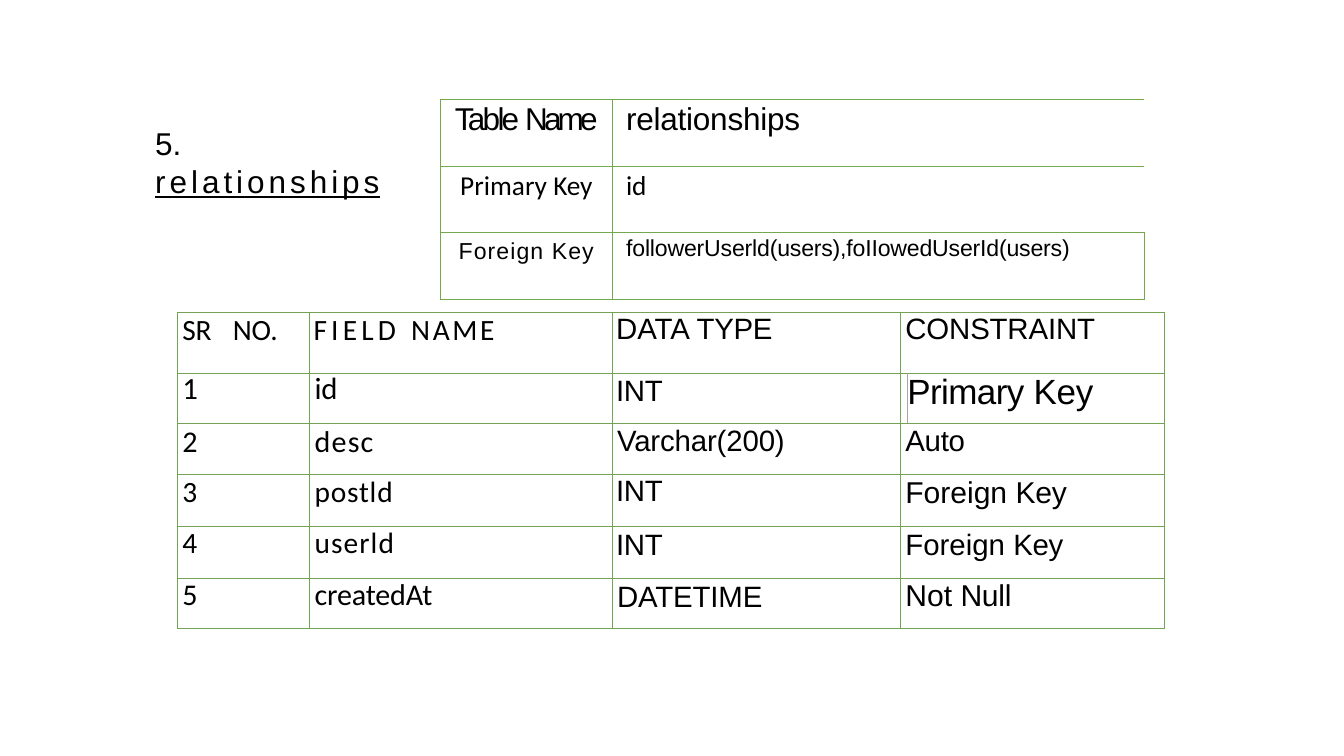
from lxml import etree
from pptx import Presentation
from pptx.dml.color import RGBColor
from pptx.enum.text import PP_ALIGN
from pptx.oxml.ns import qn
from pptx.util import Inches, Pt

COLORS = {"text": "000000", "fields": "74A354", "keys": "74A84F", "divider": "A6A6A6"}
SANS, HUMANIST = "Arial", "Calibri"
NO_MARGINS = {"margin_left": 0, "margin_top": 0, "margin_right": 0, "margin_bottom": 0}


def write(box, frame, runs, size, font, spacing, indent=0, top=0, tab=None, align=None):
    """Fill the frame of a box; runs are (text, letter spacing in points, underline)."""
    for name, value in {**NO_MARGINS, "margin_top": Inches(top)}.items():
        setattr(box, name, value)
    paragraph = frame.paragraphs[0]
    for name, value in {"alignment": align, **spacing}.items():
        setattr(paragraph, name, value)
    properties = paragraph._p.get_or_add_pPr()
    properties.set("marL", str(Inches(indent)))
    properties.set("indent", "0")
    if tab:
        stops = etree.SubElement(properties, qn("a:tabLst"))
        etree.SubElement(stops, qn("a:tab"), pos=str(Inches(tab)), algn="l")
    for text, tracking, *underline in runs:
        run = paragraph.add_run()
        run.text = text
        look = {"size": Pt(size), "name": font, "underline": bool(underline)}
        for name, value in look.items():
            setattr(run.font, name, value)
        run.font.color.rgb = RGBColor.from_string(COLORS["text"])
        run._r.get_or_add_rPr().set("spc", str(round(tracking * 100)))


def outline(cell, borders):
    """Draw borders given as {side: (colour name, width)}; other sides stay empty."""
    properties = cell._tc.get_or_add_tcPr()
    for side in "LRTB":
        color, width = borders.get(side, (None, 0))
        line = etree.SubElement(properties, qn(f"a:ln{side}"), w=str(Pt(width)))
        if color:
            fill = etree.SubElement(line, qn("a:solidFill"))
            etree.SubElement(fill, qn("a:srgbClr"), val=COLORS[color])
        else:
            etree.SubElement(line, qn("a:noFill"))
    cell.fill.background()


before = lambda points: {"space_before": Pt(points)}
exactly = lambda points: {"line_spacing": Pt(points)}

# Each cell: runs, size, font, paragraph spacing, indent, top margin
field_rows = [
    [([("SR\tNO.", -0.2)], 21, HUMANIST, before(0.2), 0.05, 0, 0.54),
     ([("FIELD ", 3), ("NAME", 1.9)], 21, HUMANIST, before(0.2), 0.04),
     ([("DATA ", 0), ("TYPE", -0.2)], 21, SANS, before(0.2), 0.04),
     ([("CONSTRAINT", -0.1)], 21, SANS, before(0.2), 0.05)],
    [([("1", 1.6)], 22, HUMANIST, exactly(25), 0.05),
     ([("id", -0.2)], 22, HUMANIST, exactly(25), 0.05),
     ([("INT", -0.2)], 21, SANS, exactly(24.8), 0.04),
     ([("Primary ", -0.4), ("Key", -0.2)], 25, SANS, exactly(28.1))],
    [([("2", -0.5)], 21.5, HUMANIST, before(0.7), 0.05, 0.01),
     ([("desc", 0.9)], 21.5, HUMANIST, before(0.7), 0.05, 0.01),
     ([("Varchar(200)", -0.1)], 21, SANS, before(1.1), 0.05, 0.02),
     ([("Auto", -0.2)], 21, SANS, before(1.1), 0.05, 0.02)],
    [([("3", 0.8)], 21, HUMANIST, before(0.1), 0.05),
     ([("postld", 0.6)], 21, HUMANIST, before(0.1), 0.05),
     ([("INT", -0.2)], 21, SANS, before(0.1), 0.04),
     ([("Foreign ", 0), ("Key", -0.2)], 21.5, SANS, exactly(25.4), 0.05)],
    [([("4", 0.5)], 21, HUMANIST, exactly(25.1), 0.05),
     ([("userld", 0.8)], 21, HUMANIST, exactly(25.1), 0.05),
     ([("INT", -0.2)], 21, SANS, exactly(25.1), 0.04),
     ([("Foreign ", 0), ("Key", -0.2)], 21, SANS, exactly(25.1), 0.05)],
    [([("5", 0.8)], 21.5, HUMANIST, exactly(24.9), 0.05),
     ([("createdAt", -0.1)], 21.5, HUMANIST, exactly(24.9), 0.05),
     ([("DATETIME", -0.1)], 21, SANS, exactly(24.9), 0.05),
     ([("Not ", 0), ("Null", -0.2)], 21.5, SANS, exactly(24.9), 0.05)],
]
key_rows = [
    [([("Table ", -2), ("Name", -2.8)], 22.5, SANS, exactly(26.6)),
     ([("relationships", -0.2)], 22.5, SANS, exactly(26.6), 0.14)],
    [([("Primary ", 0), ("Key", -0.2)], 19.5, HUMANIST, before(1.8), 0, 0.03),
     ([("id", -0.2)], 19.5, HUMANIST, before(1.8), 0.14, 0.03)],
    [([("Foreign Key", 0.8)], 16.5, SANS, before(4.2), 0, 0.06),
     ([("followerUserld(users),foIIowedUserId(users)", -0.1)], 16.5, SANS, before(2.5), 0.14, 0.03)],
]
layouts = [
    ("fields", 1.76, 3.1, [1.31, 3, 2.86, 0.07, 2.55], [0.6, 0.5, 0.51, 0.51, 0.52, 0.5]),
    ("keys", 4.37, 0.99, [1.7, 5.28], [0.66] * 3),
]

deck = Presentation()
deck.slide_width, deck.slide_height = Inches(13.33), Inches(7.5)
slide = deck.slides.add_slide(deck.slide_layouts[6])

tables = {}
for name, left, top, widths, heights in layouts:
    table = slide.shapes.add_table(
        len(heights), len(widths), Inches(left), Inches(top),
        Inches(sum(widths)), Inches(sum(heights))).table
    table.first_row = table.horz_banding = False
    for column, width in zip(table.columns, widths):
        column.width = Inches(width)
    for row, height in zip(table.rows, heights):
        row.height = Inches(height)
    for cell in table.iter_cells():
        for margin, value in NO_MARGINS.items():
            setattr(cell, margin, value)
    tables[name] = table

fields = tables["fields"]
PRIMARY_ROW, CONSTRAINT, CONSTRAINT_TEXT = 1, 3, 4
for r, cells in enumerate(field_rows):
    for c in range(len(fields.columns)):
        borders = {side: ("fields", 0.75) for side in "LRTB"}
        if r == PRIMARY_ROW:
            borders["B"] = ("fields", 0.25)
            if c == CONSTRAINT:
                borders["R"] = ("divider", 0.25)
            if c == CONSTRAINT_TEXT:
                borders["L"] = ("divider", 0.25)
        if r == PRIMARY_ROW + 1:
            borders["T"] = ("fields", 0.25)
        outline(fields.cell(r, c), borders)
    if r != PRIMARY_ROW:
        fields.cell(r, CONSTRAINT).merge(fields.cell(r, CONSTRAINT_TEXT))
    for c, content in enumerate(cells):
        if r == PRIMARY_ROW and c == CONSTRAINT:
            c = CONSTRAINT_TEXT
        cell = fields.cell(r, c)
        write(cell, cell.text_frame, *content)

for r, cells in enumerate(key_rows):
    for c, content in enumerate(cells):
        open_right = c == 1 and r < len(key_rows) - 1
        cell = tables["keys"].cell(r, c)
        outline(cell, {side: ("keys", 0.75) for side in ("LTB" if open_right else "LRTB")})
        write(cell, cell.text_frame, *content, align=PP_ALIGN.CENTER if c == 0 else None)

heading = slide.shapes.add_textbox(Inches(1.53), Inches(1.21), Inches(2.71), Inches(0.41)).text_frame
heading.word_wrap = False
write(heading, heading, [("5.\t", -0.2), ("relationships", 2.8, True)], 22.5, SANS,
      before(1.4), 0.01, 0.02, tab=0.42)

deck.save("out.pptx")
